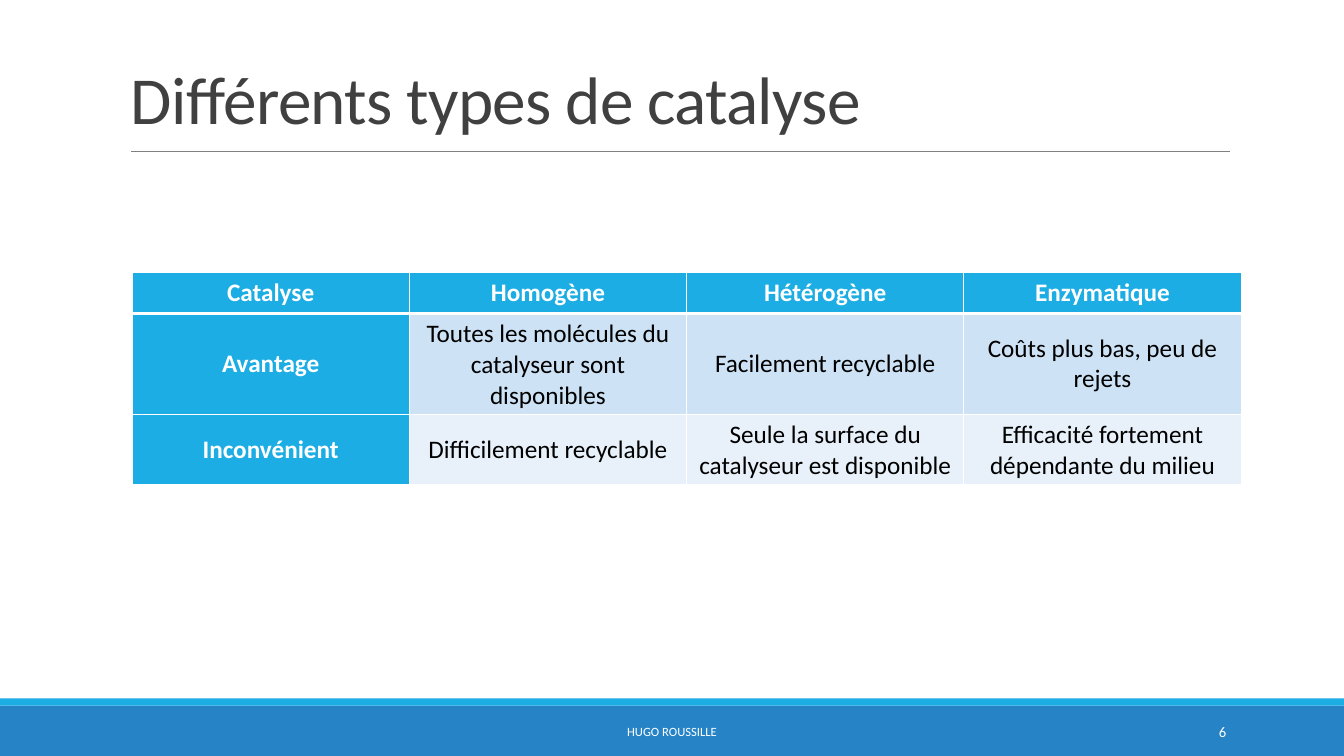
from lxml import etree
from pptx import Presentation
from pptx.dml.color import RGBColor
from pptx.enum.shapes import MSO_CONNECTOR, MSO_SHAPE
from pptx.enum.text import MSO_ANCHOR, PP_ALIGN
from pptx.oxml.ns import qn
from pptx.util import Inches, Pt

RECT, LINE = MSO_SHAPE.RECTANGLE, MSO_CONNECTOR.STRAIGHT
MIDDLE, BOTTOM = MSO_ANCHOR.MIDDLE, MSO_ANCHOR.BOTTOM
LEFT, CENTER, RIGHT = PP_ALIGN.LEFT, PP_ALIGN.CENTER, PP_ALIGN.RIGHT
WHITE = RGBColor(0xFF, 0xFF, 0xFF)
BLACK = RGBColor(0, 0, 0)
DARK = RGBColor(0x40, 0x40, 0x40)
GREY = RGBColor(0x80, 0x80, 0x80)
CYAN = RGBColor(0x1C, 0xAD, 0xE4)
BLUE = RGBColor(0x26, 0x83, 0xC6)
BANDS = RGBColor(0xCD, 0xE3, 0xF5), RGBColor(0xE8, 0xF1, 0xFA)
FONT = "Calibri"
W, H = 13.33, 7.5
ROWS = [
    ["Catalyse", "Homogène", "Hétérogène", "Enzymatique"],
    ["Avantage", "Toutes les molécules du catalyseur sont disponibles",
     "Facilement recyclable", "Coûts plus bas, peu de rejets"],
    ["Inconvénient", "Difficilement recyclable",
     "Seule la surface du catalyseur est disponible",
     "Efficacité fortement dépendante du milieu"],
]
ROW_HEIGHTS = [0.41, 1, 0.7]


def style_text(tf, text, size, color, align, bold=False):
    """Fill a text frame with one formatted paragraph and return it."""
    tf.text = text
    tf.word_wrap = True
    p = tf.paragraphs[0]
    p.alignment = align
    font = p.runs[0].font
    font.name, font.size, font.bold = FONT, Pt(size), bold
    font.color.rgb = color
    return p


def add_text(s, box, text, size, color, align, anchor):
    """Add a text box and return its paragraph."""
    tf = s.shapes.add_textbox(*map(Inches, box)).text_frame
    p = style_text(tf, text, size, color, align)
    tf.vertical_anchor = anchor
    return p


def add_bar(s, box, color):
    """Add a plain filled rectangle."""
    sp = s.shapes.add_shape(RECT, *map(Inches, box))
    sp.shadow.inherit = False
    sp.fill.solid()
    sp.fill.fore_color.rgb = color
    sp.line.fill.background()


def add_title(s, x, y, w, h):
    """Add the title and the rule under it."""
    rule_y = y + h + 0.08
    rule = s.shapes.add_connector(
        LINE, *map(Inches, (x + 0.1, rule_y, x + w, rule_y)))
    rule.line.color.rgb = GREY
    rule.line.width = Pt(0.5)
    etree.SubElement(rule._element.spPr, qn("a:effectLst"))
    p = add_text(s, (x, y, w, h), "Différents types de catalyse", 48, DARK,
                 LEFT, BOTTOM)
    p.line_spacing = 0.85
    p.runs[0].font._element.set("spc", "-50")


def set_borders(cell, widths):
    """Draw white borders of the given widths in points on a cell."""
    tcPr = cell._tc.get_or_add_tcPr()
    for side, width in widths.items():
        ln = etree.SubElement(tcPr, qn(f"a:ln{side}"), w=str(Pt(width)))
        fill = etree.SubElement(ln, qn("a:solidFill"))
        etree.SubElement(fill, qn("a:srgbClr"), val=str(WHITE))


def add_comparison(s, x, y, w):
    """Add the table comparing the types of catalysis."""
    n = len(ROWS[0])
    box = map(Inches, (x, y, w, sum(ROW_HEIGHTS)))
    table = s.shapes.add_table(len(ROWS), n, *box).table
    for col in table.columns:
        col.width = Inches(w / n)
    for i, texts in enumerate(ROWS):
        table.rows[i].height = Inches(ROW_HEIGHTS[i])
        for j, text in enumerate(texts):
            cell = table.cell(i, j)
            head = i == 0 or j == 0
            style_text(cell.text_frame, text, 18, WHITE if head else BLACK,
                       CENTER, head)
            cell.vertical_anchor = MIDDLE
            set_borders(cell, {"L": 1, "R": 1, "T": 3 if i == 1 else 1,
                               "B": 3 if i == 0 else 1})
            cell.fill.solid()
            cell.fill.fore_color.rgb = CYAN if head else BANDS[i - 1]


def add_footer(s, y, h):
    """Add the footer bars, the author and the slide number."""
    add_bar(s, (0, y, W, h), BLUE)
    add_bar(s, (0, y - 0.07, W, 0.07), CYAN)
    add_text(s, (4.03, y + 0.06, 5.27, 0.4), "HUGO ROUSSILLE", 9, WHITE,
             CENTER, MIDDLE)
    add_text(s, (10.83, y + 0.06, 1.43, 0.4), "6", 10.5, WHITE, RIGHT, MIDDLE)


def main():
    """Build the slide and save it."""
    prs = Presentation()
    prs.slide_width, prs.slide_height = Inches(W), Inches(H)
    s = prs.slides.add_slide(prs.slide_layouts[6])
    add_footer(s, 7, 0.5)
    add_title(s, 1.2, 0.31, 11, 1.11)
    add_comparison(s, 1.31, 2.7, 11)
    prs.save("out.pptx")


if __name__ == "__main__":
    main()
